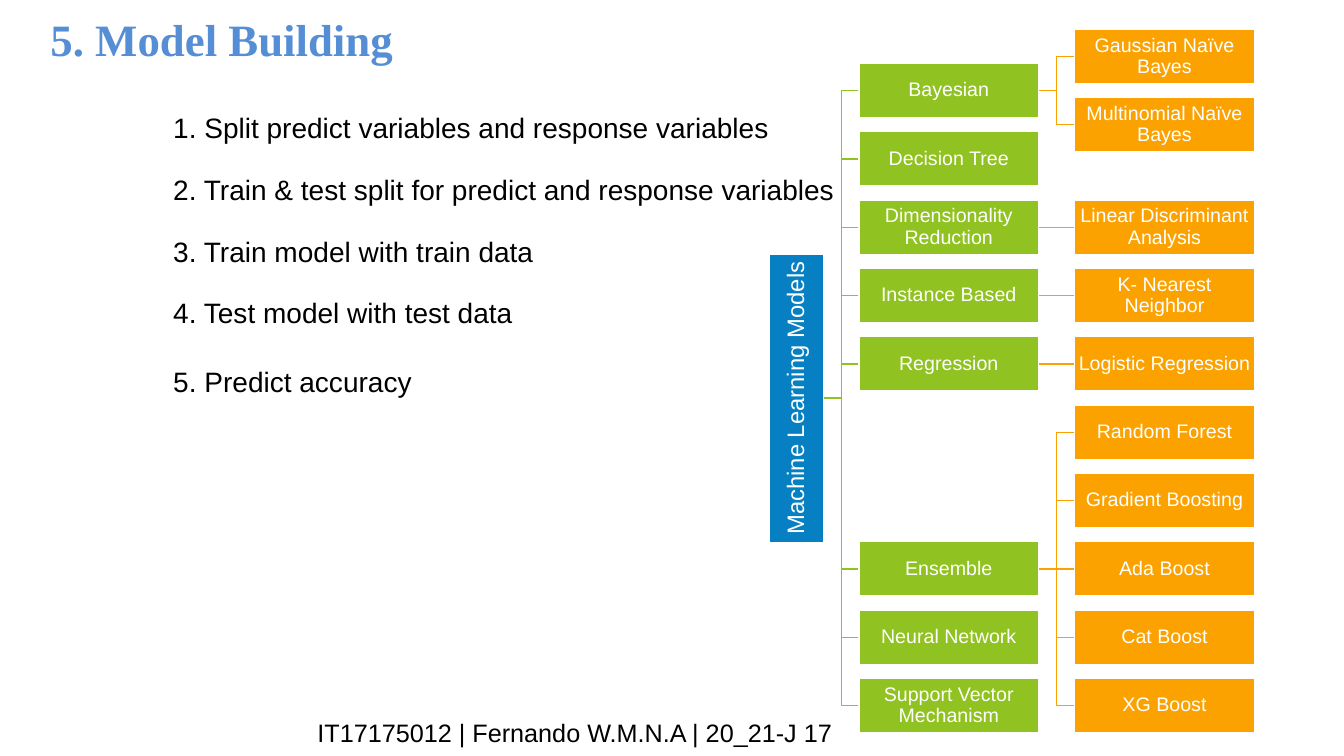
"""Build the model building slide with its tree of machine learning models."""
from lxml import etree
from pptx import Presentation
from pptx import util as u
from pptx.dml.color import RGBColor
from pptx.enum import shapes, text
from pptx.oxml import ns

BLUE, GREEN, ORANGE, WHITE = "0680C3", "90C221", "FBA200", "FFFFFF"
BOX_WIDTH, BOX_HEIGHT = 1.78, 0.54
ROOT_LENGTH, ROOT_X, ROOT_Y = 2.86, 7.9, 3.95
GROUP_LEFT, LEAF_LEFT = 8.52, 10.66
FIRST_Y, LAST_Y, LAST_ROW = 0.56, 7.0, 9.5
ROW_PITCH = (LAST_Y - FIRST_Y) / LAST_ROW

STEPS = [
    ("1. Split predict variables and response variables", 0),
    ("2. Train & test split for predict and response variables", 20),
    ("3. Train model with train data", 20),
    ("4. Test model with test data", 20),
    ("5. Predict accuracy", 25),
]
GROUPS = [
    ("Bayesian", 0.5, ["Gaussian Naïve Bayes", "Multinomial Naïve Bayes"]),
    ("Decision Tree", 1.5, []),
    ("Dimensionality Reduction", 2.5, ["Linear Discriminant Analysis"]),
    ("Instance Based", 3.5, ["K- Nearest Neighbor"]),
    ("Regression", 4.5, ["Logistic Regression"]),
    ("Ensemble", 7.5, ["Random Forest", "Gradient Boosting", "Ada Boost",
                       "Cat Boost", "XG Boost"]),
    ("Neural Network", 8.5, []),
    ("Support Vector Mechanism", 9.5, []),
]


def style(paragraph, size, color, name="Arial", bold=False):
    for run in paragraph.runs:
        run.font.size = u.Pt(size)
        run.font.name = name
        run.font.bold = bold
        run.font.color.rgb = RGBColor.from_string(color)


presentation = Presentation()
presentation.slide_width = u.Inches(13.33)
presentation.slide_height = u.Inches(7.5)
slide = presentation.slides.add_slide(presentation.slide_layouts[5])

title = slide.shapes.title
title.left, title.top = u.Inches(0.4), u.Inches(0.07)
title.width, title.height = u.Inches(7.26), u.Inches(0.64)
title.text_frame.text = "5. Model Building"
title.text_frame.vertical_anchor = text.MSO_ANCHOR.TOP
title.text_frame.paragraphs[0].alignment = text.PP_ALIGN.LEFT
style(title.text_frame.paragraphs[0], 32, "558ED5", "Times New Roman", True)

footer = slide.shapes.add_textbox(u.Inches(3.05), u.Inches(7.07), u.Inches(10.19), u.Inches(0.4))
footer.text_frame.word_wrap = True
footer.text_frame.text = "IT17175012 | Fernando W.M.N.A | 20_21-J 17"
style(footer.text_frame.paragraphs[0], 18, "000000")

steps = slide.shapes.add_textbox(u.Inches(1.12), u.Inches(1.05), u.Inches(11.3), u.Inches(3.2))
steps.text_frame.word_wrap = True
steps.text_frame.text = "\n".join(step for step, gap in STEPS)
for paragraph, (step, gap) in zip(steps.text_frame.paragraphs, STEPS):
    paragraph._p.get_or_add_pPr().set("marL", str(u.Inches(0.5)))
    if gap:
        paragraph.space_before = u.Pt(gap)
    style(paragraph, 20, "000000")

boxes = [("Machine Learning Models", ROOT_X, ROOT_Y, ROOT_LENGTH, BLUE, 17, 270)]
links = []
for group, row, leaves in GROUPS:
    group_y = FIRST_Y + row * ROW_PITCH
    boxes.append((group, GROUP_LEFT + BOX_WIDTH / 2, group_y, BOX_WIDTH, GREEN, 14, 0))
    links.append((ROOT_X + BOX_HEIGHT / 2, ROOT_Y, GROUP_LEFT, group_y, GREEN))
    for index, leaf in enumerate(leaves):
        leaf_y = group_y + (index - (len(leaves) - 1) / 2) * ROW_PITCH
        boxes.append((leaf, LEAF_LEFT + BOX_WIDTH / 2, leaf_y, BOX_WIDTH, ORANGE, 14, 0))
        links.append((GROUP_LEFT + BOX_WIDTH, group_y, LEAF_LEFT, leaf_y, ORANGE))

for start_x, start_y, end_x, end_y, color in links:
    straight = abs(start_y - end_y) < 0.01
    kind = shapes.MSO_CONNECTOR.STRAIGHT if straight else shapes.MSO_CONNECTOR.ELBOW
    link = slide.shapes.add_connector(
        kind, u.Inches(start_x), u.Inches(start_y), u.Inches(end_x), u.Inches(end_y))
    link.line.color.rgb = RGBColor.from_string(color)
    link.line.width = u.Pt(1)
    etree.SubElement(link._element.spPr, ns.qn("a:effectLst"))

for label, center_x, center_y, width, color, size, rotation in boxes:
    box = slide.shapes.add_shape(
        shapes.MSO_SHAPE.RECTANGLE, u.Inches(center_x - width / 2),
        u.Inches(center_y - BOX_HEIGHT / 2), u.Inches(width), u.Inches(BOX_HEIGHT))
    box.rotation = rotation
    box.shadow.inherit = False
    box.fill.solid()
    box.fill.fore_color.rgb = RGBColor.from_string(color)
    box.line.color.rgb = RGBColor.from_string(WHITE)
    box.line.width = u.Pt(1)
    frame = box.text_frame
    frame.margin_left = frame.margin_right = u.Inches(0.01)
    frame.margin_top = frame.margin_bottom = u.Inches(0.01)
    frame.vertical_anchor = text.MSO_ANCHOR.MIDDLE
    frame.word_wrap = True
    frame.text = label
    frame.paragraphs[0].alignment = text.PP_ALIGN.CENTER
    frame.paragraphs[0].line_spacing = 0.9
    style(frame.paragraphs[0], size, WHITE)

presentation.save("out.pptx")
